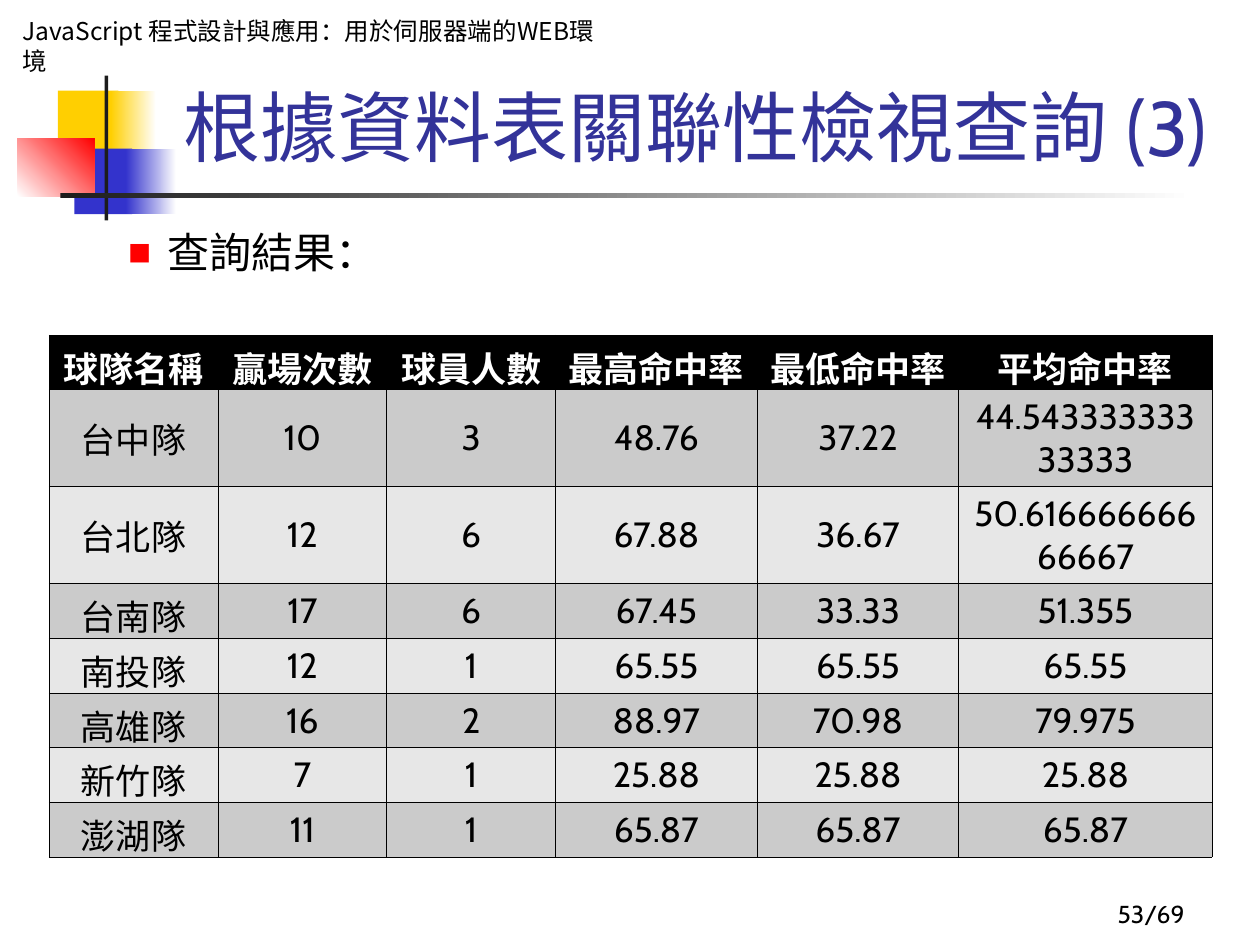
from typing import NamedTuple

from lxml import etree
from pptx import Presentation
from pptx.dml.color import RGBColor
from pptx.enum.shapes import MSO_SHAPE
from pptx.enum.text import MSO_ANCHOR, PP_ALIGN
from pptx.oxml.ns import qn
from pptx.util import Inches, Pt

RECT = MSO_SHAPE.RECTANGLE
TOP, MIDDLE, BOTTOM = MSO_ANCHOR.TOP, MSO_ANCHOR.MIDDLE, MSO_ANCHOR.BOTTOM
LEFT, CENTER, RIGHT = PP_ALIGN.LEFT, PP_ALIGN.CENTER, PP_ALIGN.RIGHT
LATIN, ASIAN = "Cabin", "Noto Sans CJK SC"
BLACK, WHITE, DARK = "000000", "FFFFFF", "1C1C1C"
GOLD, BLUE, RED = "FFCF01", "3333CC", "FF0000"


class Block(NamedTuple):
    left: float
    top: float
    width: float
    height: float
    start: str
    end: str = ""
    angle: int = 0


class Label(NamedTuple):
    left: float
    top: float
    width: float
    height: float
    text: str
    size: int
    color: str = BLACK
    align: PP_ALIGN = LEFT
    anchor: MSO_ANCHOR = TOP
    face: str = LATIN
    bullet: bool = False


BLOCKS = [
    Block(0.46, 0.72, 0.48, 0.52, GOLD),
    Block(0.88, 0.72, 0.36, 0.52, GOLD, WHITE),
    Block(0.59, 1.18, 0.46, 0.52, BLUE),
    Block(1, 1.18, 0.4, 0.52, BLUE, WHITE),
    Block(0.14, 1.1, 0.61, 0.46, WHITE, RED, 45),
    Block(0.83, 0.6, 0.03, 1.15, DARK),
    Block(0.48, 1.53, 9, 0.04, DARK, WHITE),
]
LABELS = [
    Label(0.08, 0.08, 4.92, 0.57, "JavaScript 程式設計與應用：用於伺服器端的WEB環境",
          14, face=ASIAN),
    Label(1.26, 0.58, 8.52, 0.83, "根據資料表關聯性檢視查詢 (3)", 44, "333399",
          CENTER, BOTTOM),
    Label(0.42, 1.75, 9.38, 5.08, "查詢結果：", 24, bullet=True),
]
PAGE = Label(7.42, 6.92, 2.08, 0.5, "53/69", 14, align=RIGHT, anchor=BOTTOM)
COLS = [1.34, 1.34, 1.34, 1.6, 1.6, 2.01]
ROWS = [0.43, 0.77, 0.77] + [0.43] * 5
TEAMS = [
    ["球隊名稱", "贏場次數", "球員人數", "最高命中率", "最低命中率", "平均命中率"],
    ["台中隊", "10", "3", "48.76", "37.22", "44.54333333333333"],
    ["台北隊", "12", "6", "67.88", "36.67", "50.61666666666667"],
    ["台南隊", "17", "6", "67.45", "33.33", "51.355"],
    ["南投隊", "12", "1", "65.55", "65.55", "65.55"],
    ["高雄隊", "16", "2", "88.97", "70.98", "79.975"],
    ["新竹隊", "7", "1", "25.88", "25.88", "25.88"],
    ["澎湖隊", "11", "1", "65.87", "65.87", "65.87"],
]


def paint(target, color: str) -> None:
    target.rgb = RGBColor.from_string(color)


def add(parent, tag: str, **attrs: str):
    return etree.SubElement(parent, qn(tag), attrs)


def style(para, size: int, color: str, align: PP_ALIGN,
          face: str = LATIN, bold: bool = False) -> None:
    para.alignment = align
    font = para.font
    font.name, font.size, font.bold = face, Pt(size), bold
    paint(font.color, color)
    latin = para._p.pPr.find(qn("a:defRPr")).find(qn("a:latin"))
    asian = etree.Element(qn("a:ea"), typeface=ASIAN)
    latin.addnext(asian)


def draw_block(slide, block: Block) -> None:
    shape = slide.shapes.add_shape(RECT, *map(Inches, block[:4]))
    shape.shadow.inherit = False
    shape.line.fill.background()
    fill = shape.fill
    if not block.end:
        fill.solid()
        paint(fill.fore_color, block.start)
        return
    fill.gradient()
    fill.gradient_angle = block.angle
    ends = [(0, block.start), (1, block.end)]
    for stop, (place, color) in zip(fill.gradient_stops, ends):
        stop.position = place
        paint(stop.color, color)


def add_bullet(para) -> None:
    props = para._p.get_or_add_pPr()
    props.set("marL", str(Inches(0.81)))
    props.set("indent", str(Inches(-0.31)))
    add(add(props, "a:buClr"), "a:srgbClr", val=RED)
    add(props, "a:buSzPct", val="55000")
    add(props, "a:buFont", typeface=ASIAN)
    add(props, "a:buChar", char="■")


def draw_label(slide, label: Label) -> None:
    box = slide.shapes.add_textbox(*map(Inches, label[:4]))
    frame = box.text_frame
    frame.word_wrap = True
    frame.vertical_anchor = label.anchor
    para = frame.paragraphs[0]
    para.text = label.text
    if label.bullet:
        add_bullet(para)
    style(para, label.size, label.color, label.align, label.face)


def add_border(cell) -> None:
    props = cell._tc.get_or_add_tcPr()
    for side in ("a:lnL", "a:lnR", "a:lnT", "a:lnB"):
        line = add(props, side, w=str(Pt(0.45)))
        add(add(line, "a:solidFill"), "a:srgbClr", val=BLACK)


def draw_table(slide) -> None:
    size = map(Inches, (0.39, 2.66, sum(COLS), sum(ROWS)))
    table = slide.shapes.add_table(len(ROWS), len(COLS), *size).table
    for col, width in zip(table.columns, COLS):
        col.width = Inches(width)
    for row, height in zip(table.rows, ROWS):
        row.height = Inches(height)
    for i, team in enumerate(TEAMS):
        head = i == 0
        shade = BLACK if head else ("E7E7E7", "CBCBCB")[i % 2]
        for j, text in enumerate(team):
            cell = table.cell(i, j)
            add_border(cell)
            cell.fill.solid()
            paint(cell.fill.fore_color, shade)
            cell.vertical_anchor = MIDDLE
            para = cell.text_frame.paragraphs[0]
            para.text = text
            style(para, 20, WHITE if head else BLACK, CENTER, bold=head)


def main() -> None:
    deck = Presentation()
    deck.slide_width, deck.slide_height = Inches(10), Inches(7.5)
    slide = deck.slides.add_slide(deck.slide_layouts[6])
    for block in BLOCKS:
        draw_block(slide, block)
    for label in LABELS:
        draw_label(slide, label)
    draw_table(slide)
    draw_label(slide, PAGE)
    deck.save("out.pptx")


if __name__ == "__main__":
    main()
